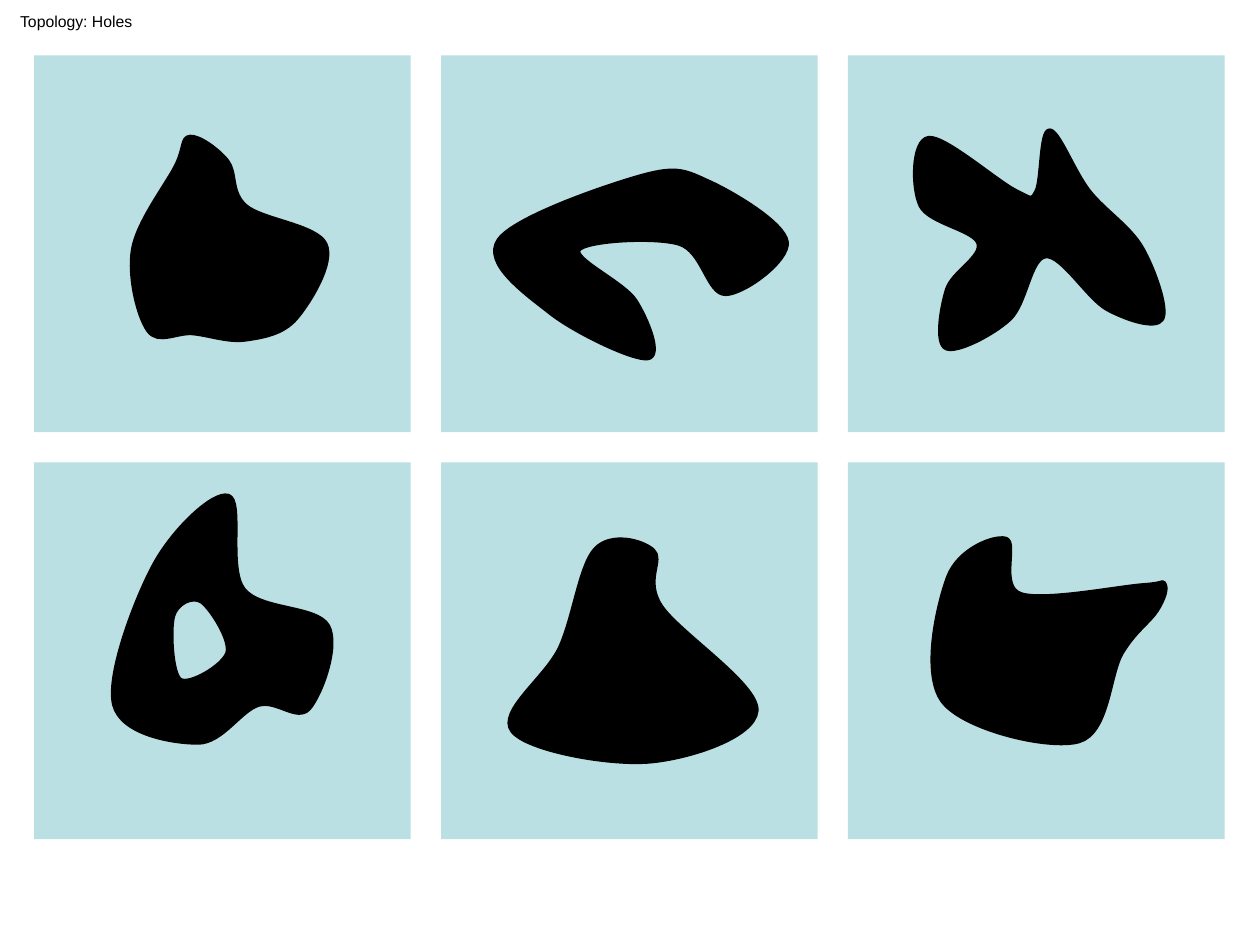
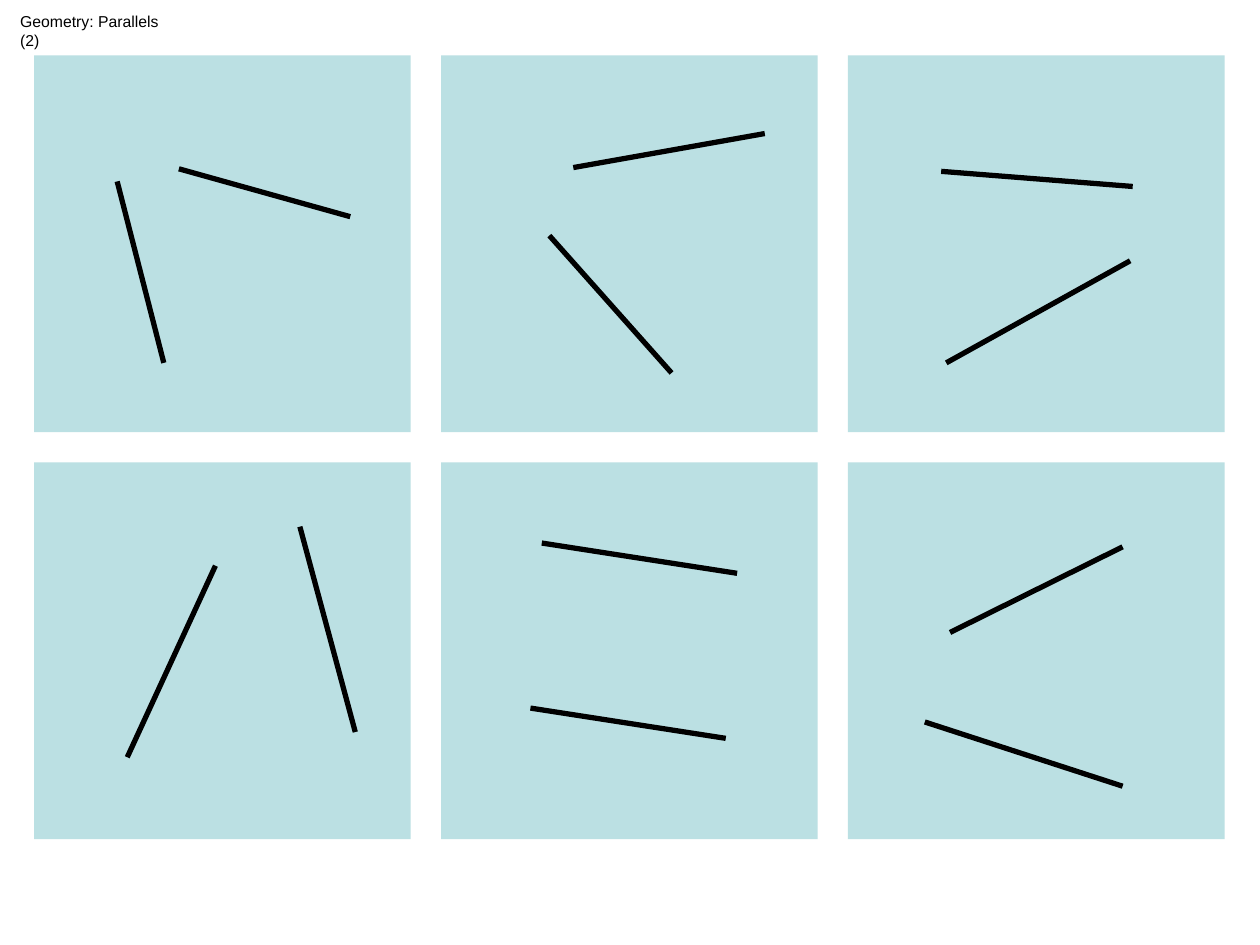
from dataclasses import dataclass

from lxml.etree import SubElement
from pptx import Presentation
from pptx.dml.color import RGBColor as Rgb
from pptx.enum.shapes import MSO_CONNECTOR as Link, MSO_SHAPE as Kind
from pptx.enum.text import MSO_ANCHOR as Anchor, MSO_AUTO_SIZE as Fit, PP_ALIGN as Align
from pptx.oxml.ns import qn
from pptx.shapes.autoshape import Shape
from pptx.slide import Slide
from pptx.util import Inches, Pt

HUES = {"panel": "BBE0E3", "ink": "000000"}
FONT = "Arial"
STROKE = Pt(3)

# Panel grid: equal steps in both directions
LEFT, TOP, SIDE, STEP = 0.27, 0.44, 2.99, 3.23
COLS, ROWS = 3, 2

Point = tuple[float, float]


@dataclass
class Blob:
    """A closed smooth outline through its knots."""
    knots: list[Point]
    fill: str = "ink"


@dataclass
class Bar:
    start: Point
    end: Point


BLOBS = [
    # Top row
    Blob([(1.4, 1.32), (1.06, 1.98), (1.18, 2.62), (1.53, 2.64), (1.95, 2.69),
          (2.35, 2.52), (2.58, 1.94), (1.95, 1.64), (1.8, 1.28), (1.51, 1.09)]),
    Blob([(5.1, 1.4), (3.96, 1.91), (4.37, 2.48), (5.14, 2.84), (5.04, 2.39),
          (4.59, 1.98), (5.39, 1.93), (5.76, 2.33), (6.24, 1.92), (5.63, 1.45)]),
    Blob([(8.06, 1.52), (7.37, 1.1), (7.31, 1.63), (7.77, 1.93), (7.52, 2.3),
          (7.51, 2.76), (8.01, 2.53), (8.3, 2.03), (8.79, 2.45), (9.22, 2.53),
          (9.06, 1.97), (8.64, 1.52), (8.33, 1.04), (8.23, 1.52)]),
    # Bottom row, the hole last
    Blob([(4.45, 5.14), (4.07, 5.8), (5.15, 6.04), (6, 5.64), (5.24, 4.81),
          (5.18, 4.37), (4.73, 4.36)]),
    Blob([(9.07, 4.65), (8.1, 4.72), (7.98, 4.28), (7.53, 4.58), (7.49, 5.57),
          (8.56, 5.88), (8.9, 5.18), (9.18, 4.84), (9.24, 4.64)]),
    Blob([(1.23, 4.48), (0.91, 5.59), (1.57, 5.89), (2.05, 5.59), (2.45, 5.62),
          (2.6, 4.97), (1.93, 4.68), (1.81, 3.94)]),
    Blob([(1.37, 4.89), (1.43, 5.4), (1.81, 5.18), (1.6, 4.77)], fill="panel"),
]

BARS = [
    # Top row
    Bar((0.93, 1.44), (1.3, 2.88)), Bar((1.42, 1.34), (2.78, 1.72)),
    Bar((4.36, 1.87), (5.33, 2.96)), Bar((4.55, 1.33), (6.07, 1.06)),
    Bar((7.47, 1.36), (8.99, 1.48)), Bar((7.51, 2.88), (8.97, 2.07)),
    # Bottom row
    Bar((1.01, 6.01), (1.71, 4.49)), Bar((2.82, 5.81), (2.38, 4.18)),
    Bar((4.3, 4.31), (5.85, 4.55)), Bar((4.21, 5.62), (5.76, 5.86)),
    Bar((7.54, 5.02), (8.91, 4.34)), Bar((7.34, 5.73), (8.91, 6.24)),
]


def hue(name: str) -> Rgb:
    return Rgb.from_string(HUES[name])


def write(shape: Shape, text: str, *, size: float = 9, color: str = "ink",
          align: Align = Align.LEFT) -> None:
    frame = shape.text_frame
    frame.word_wrap = False
    frame.auto_size = Fit.SHAPE_TO_FIT_TEXT
    frame.vertical_anchor = Anchor.TOP
    frame.margin_left = frame.margin_right = Inches(0.1)
    frame.margin_top = frame.margin_bottom = Inches(0.05)
    frame.text = text
    para = frame.paragraphs[0]
    para.alignment = align
    font = para.runs[0].font
    font.name, font.size = FONT, Pt(size)
    font.color.rgb = hue(color)


def paint(shape: Shape, fill: str) -> None:
    shape.shadow.inherit = False
    shape.fill.solid()
    shape.fill.fore_color.rgb = hue(fill)


def add_page(deck: Presentation, title: str, width: float) -> Slide:
    """Add a slide with its title and the six panels."""
    slide = deck.slides.add_slide(deck.slide_layouts[5])
    head = slide.shapes.title
    head.left, head.top = Inches(0.06), Inches(0.04)
    head.width, head.height = Inches(width), Inches(0.25)
    write(head, title)
    for row in range(ROWS):
        for col in range(COLS):
            panel = slide.shapes.add_shape(
                Kind.RECTANGLE, Inches(LEFT + col * STEP),
                Inches(TOP + row * STEP), Inches(SIDE), Inches(SIDE))
            paint(panel, "panel")
            panel.line.fill.background()
    return slide


def smooth(knots: list[Point]) -> list[Point]:
    """Give two handles and an end point for each curve of a closed spline."""
    def handle(i: int, sign: int) -> Point:
        prev, here, after = (knots[k % len(knots)] for k in (i - 1, i, i + 1))
        return tuple(h + sign * (a - p) / 6 for p, h, a in zip(prev, here, after))

    points = []
    for i in range(len(knots)):
        points += [handle(i, 1), handle(i + 1, -1), knots[(i + 1) % len(knots)]]
    return points


def add_blob(slide: Slide, blob: Blob) -> None:
    points = [(Inches(x), Inches(y)) for x, y in smooth(blob.knots)]
    pen = slide.shapes.build_freeform(*points[-1])
    pen.add_line_segments(points, close=True)
    shape = pen.convert_to_shape()
    paint(shape, blob.fill)
    shape.line.color.rgb = hue("ink")
    shape.line.width = STROKE
    # Join each three straight segments into one Bezier curve
    trace = next(shape.element.iter(qn("a:path")))
    steps = trace.findall(qn("a:lnTo"))
    for i in range(0, len(points), 3):
        curve = SubElement(trace, qn("a:cubicBezTo"))
        for step in steps[i:i + 3]:
            curve.append(step[0])
    for step in steps:
        trace.remove(step)
    trace.append(trace.find(qn("a:close")))


def add_bar(slide: Slide, bar: Bar) -> None:
    ends = [Inches(n) for n in bar.start + bar.end]
    line = slide.shapes.add_connector(Link.STRAIGHT, *ends)
    line.line.color.rgb = hue("ink")
    line.line.width = STROKE
    SubElement(line.element.spPr, qn("a:effectLst"))


def main() -> None:
    deck = Presentation()
    deck.slide_width, deck.slide_height = Inches(10), Inches(7.5)

    # Slide 1: closed shapes, one with a hole
    holes = add_page(deck, "Topology: Holes", 1.1)
    for blob in BLOBS:
        add_blob(holes, blob)

    # Slide 2: pairs of bars, one pair parallel
    pairs = add_page(deck, "Geometry: Parallels (2)", 1.48)
    for bar in BARS:
        add_bar(pairs, bar)

    deck.save("out.pptx")


if __name__ == "__main__":
    main()
